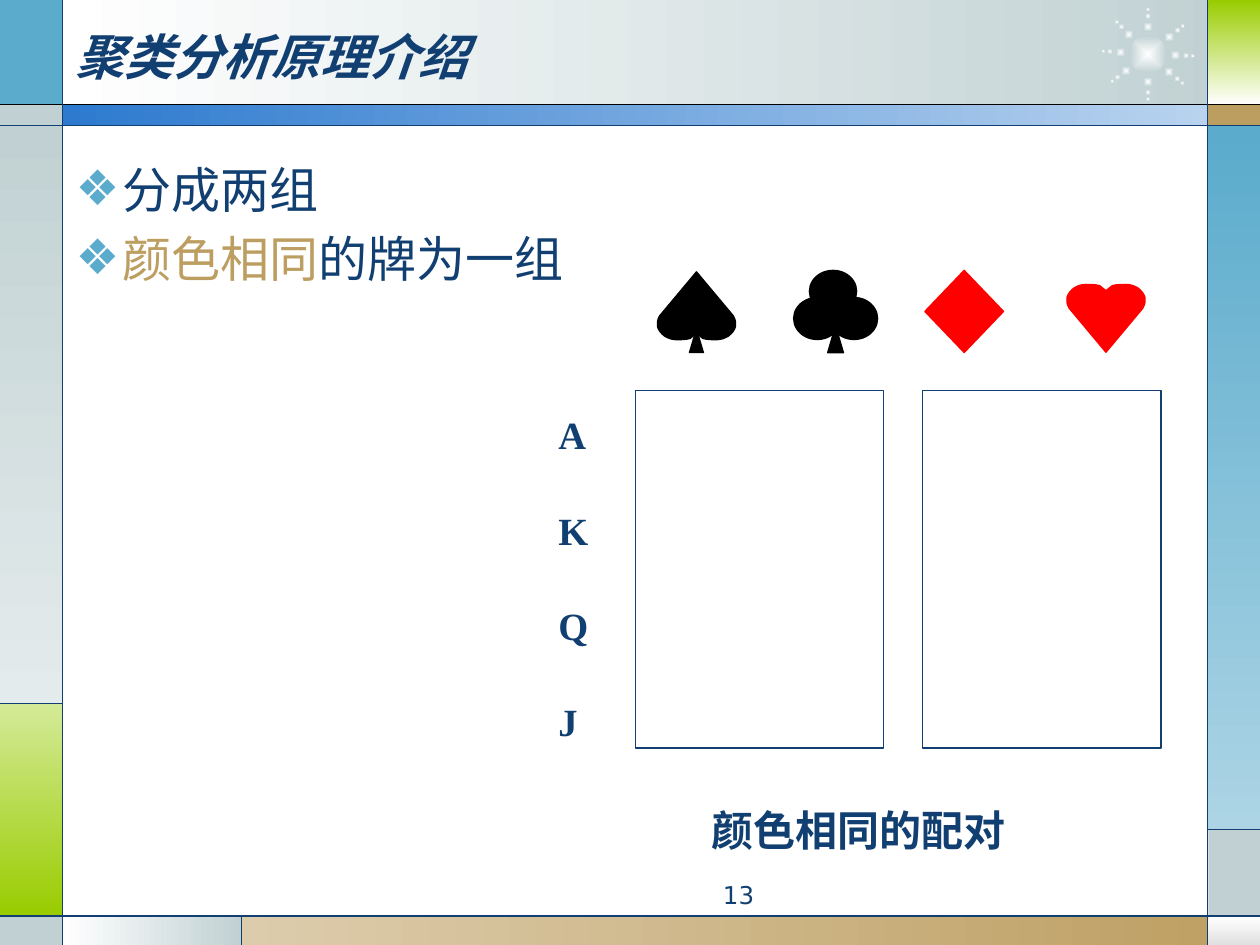
import math
from dataclasses import dataclass

import pptx
import pptx.util
import pptx.dml.color
import pptx.enum.shapes
import pptx.enum.text
import pptx.oxml
import pptx.oxml.ns
from lxml import etree

Pt = pptx.util.Pt
KIND = pptx.enum.shapes.MSO_SHAPE
ALIGN = pptx.enum.text.PP_ALIGN
ANCHOR = pptx.enum.text.MSO_ANCHOR
FIT = pptx.enum.text.MSO_AUTO_SIZE
qn = pptx.oxml.ns.qn


@dataclass(frozen=True)
class Theme:
    navy: str = "113F71"
    sky: str = "5AABCC"
    pale: str = "C1D1D3"
    mist: str = "E4EBEC"
    tan: str = "BD9E61"
    sand: str = "DDCCAC"
    lime: str = "99CC00"
    leaf: str = "D4EA98"
    blue: str = "2D7ACF"
    haze: str = "B9D3EF"
    ice: str = "ACD4E5"
    fog: str = "E0E0E0"
    white: str = "FFFFFF"
    black: str = "000000"
    red: str = "FF0000"
    sans: str = "DejaVu Sans"
    serif: str = "Times New Roman"
    plain: str = "Arial"
    head: int = 28
    label: int = 22
    note: int = 24
    page: int = 14
    rule: float = 0.75


T = Theme()

# Frame panels: left, top, right, bottom, first colour, last colour, angle
PANELS = [
    (36, 0, 703.5, 60, T.white, T.pale, 0),
    (0, 0, 36, 60, T.sky, None, 0),
    (0, 60, 36, 72, T.pale, None, 0),
    (0, 72, 36, 402, T.pale, T.mist, 270),
    (0, 402, 36, 523.5, T.leaf, T.lime, 270),
    (0, 523.5, 36, 540, T.pale, None, 0),
    (36, 523.5, 138, 540, T.white, T.pale, 0),
    (138, 523.5, 720, 540, T.sand, T.tan, 0),
    (690.5, 523.5, 720, 540, T.white, T.fog, 270),
    (690.5, 474, 720, 523.5, T.pale, None, 0),
    (690, 72, 720, 474, T.sky, T.ice, 270),
    (690, 60, 720, 72, T.tan, None, 0),
    (690.5, 0, 720, 60, T.lime, T.white, 270),
    (36, 60, 690.5, 72, T.blue, T.haze, 0),
]
RULES = [
    (0, 59.8, 720, 59.8, T.black),
    (0, 71.8, 720, 71.8, T.navy),
    (0, 523.4, 720, 523.4, T.navy),
    (35.9, 0, 35.9, 540, T.navy),
    (690, 0, 690, 540, T.navy),
    (36, 402, 0, 402, T.navy),
    (138, 523.5, 138, 540, T.navy),
    (690, 474, 720, 474, T.navy),
]
RAYS = (2, 40, 90, 143, 184, 226, 270, 321)
# Right half of a heart from notch to shoulder, as chained Bezier points
LOBE = [
    (0, 3.6), (0.7, 2.9), (2.9, 1.4), (3.6, 0.7),
    (6.5, 0), (8.6, 0), (11.5, 0),
    (13.7, 0), (16, 0.7), (18.2, 2),
    (20.2, 3.5), (21.8, 5.5), (22.3, 7.5),
    (22.6, 9.5), (22.3, 11.5), (21, 13.7),
]
TIP = (0, 38.8)


def tint(code):
    return pptx.dml.color.RGBColor.from_string(code)


def paint(shape, fill, edge=None):
    shape.shadow.inherit = False
    shape.fill.solid()
    shape.fill.fore_color.rgb = tint(fill)
    if edge:
        shape.line.color.rgb = tint(edge)
        shape.line.width = Pt(T.rule)
    else:
        shape.line.fill.background()


def blend(shape, first, last, angle=0):
    shape.fill.gradient()
    shape.fill.gradient_angle = angle
    for stop, code in zip(shape.fill.gradient_stops, (first, last)):
        stop.color.rgb = tint(code)


def block(slide, kind, box, fill, edge=None):
    shape = slide.shapes.add_shape(kind, *map(Pt, box))
    paint(shape, fill, edge)
    return shape


def rule(slide, x1, y1, x2, y2, color):
    kind = pptx.enum.shapes.MSO_CONNECTOR.STRAIGHT
    line = slide.shapes.add_connector(kind, *map(Pt, (x1, y1, x2, y2)))
    line.line.color.rgb = tint(color)
    line.line.width = Pt(T.rule)
    etree.SubElement(line._element.spPr, qn("a:effectLst"))


def glow(slide, x, y, size):
    """Add a disc, centred on x and y, that fades outward from white."""
    disc = block(slide, KIND.OVAL, (x - size / 2, y - size / 2, size, size), T.white)
    blend(disc, T.white, T.pale)
    grad = disc._element.spPr.find(qn("a:gradFill"))
    grad.remove(grad.find(qn("a:lin")))
    fade = etree.SubElement(grad, qn("a:path"), {"path": "shape"})
    etree.SubElement(fade, qn("a:fillToRect"), dict.fromkeys("ltrb", "50000"))


def star(slide, x, y):
    glow(slide, x, y, 21.6)
    for ray in RAYS:
        turn = math.radians(ray)
        for reach, size in ((15.7, 5.4), (21.8, 3.4), (25.6, 2.5)):
            glow(slide, x + reach * math.cos(turn), y + reach * math.sin(turn), size)


def bend(shape, starts):
    """Turn three line steps into one Bezier curve at each start."""
    steps = list(shape._element.iter(qn("a:lnTo")))
    for start in starts:
        trio = steps[start:start + 3]
        arc = etree.Element(qn("a:cubicBezTo"))
        trio[0].addprevious(arc)
        for step in trio:
            arc.append(step[0])
            step.getparent().remove(step)


def heart(slide, x, y, color, way=1):
    """Add a heart whose lobes touch y; way -1 turns it tip up."""
    path = LOBE + [TIP] + [(-a, b) for a, b in reversed(LOBE)]
    dots = [((x + a) * 100, (y + way * b) * 100) for a, b in path]
    pen = slide.shapes.build_freeform(*dots[0], scale=Pt(1) / 100)
    pen.add_line_segments(dots[1:], close=True)
    shape = pen.convert_to_shape()
    side = len(LOBE) - 1
    bend(shape, [*range(0, side, 3), *range(side + 2, 2 * side + 2, 3)])
    paint(shape, color, color)


def suits(slide):
    heart(slide, 398, 194.1, T.black, -1)
    for kind, box, color in (
        (KIND.FLOWCHART_EXTRACT, (394, 188, 8, 13.5), T.black),
        (KIND.OVAL, (462.5, 154.5, 27, 24), T.black),
        (KIND.OVAL, (474.5, 170, 27, 24), T.black),
        (KIND.OVAL, (453.5, 170, 27, 24), T.black),
        (KIND.FLOWCHART_EXTRACT, (473, 186, 9, 15.5), T.black),
        (KIND.FLOWCHART_DECISION, (528.5, 154.5, 45, 47), T.red),
    ):
        block(slide, kind, box, color, color)
    heart(slide, 632, 162.5, T.red)


def write(para, text, size, face=T.sans, color=T.navy, **look):
    run = para.add_run()
    run.text = text
    run.font.color.rgb = tint(color)
    for key, value in {"size": Pt(size), "name": face, **look}.items():
        setattr(run.font, key, value)


def label(slide, box, text, size, face, para, **look):
    """Add a one-line text box; para holds its paragraph format."""
    frame = slide.shapes.add_textbox(*map(Pt, box)).text_frame
    frame.word_wrap = True
    for key, value in para.items():
        setattr(frame.paragraphs[0], key, value)
    write(frame.paragraphs[0], text, size, face, **look)


def place(slide, holder, box, anchor):
    """Move a placeholder to its box, in front of the frame."""
    for key, value in zip(("left", "top", "width", "height"), box):
        setattr(holder, key, Pt(value))
    slide.shapes._spTree.append(holder._element)
    frame = holder.text_frame
    frame.auto_size = FIT.NONE
    frame.vertical_anchor = anchor
    return frame


def bullet(para):
    props = para._p.get_or_add_pPr()
    props.set("marL", str(Pt(27)))
    props.set("indent", str(Pt(-27)))
    color = etree.SubElement(props, qn("a:buClr"))
    etree.SubElement(color, qn("a:srgbClr"), val=T.sky)
    etree.SubElement(props, qn("a:buChar"), char="❖")


def words(slide):
    title = place(slide, slide.shapes.title, (36, 6, 648, 52), ANCHOR.MIDDLE)
    title.paragraphs[0].alignment = ALIGN.LEFT
    write(title.paragraphs[0], "聚类分析原理介绍", T.head, bold=True, italic=True)

    body = place(slide, slide.placeholders[1], (36, 87.6, 318, 356), ANCHOR.TOP)
    items = [[("分成两组", T.navy)], [("颜色相同", T.tan), ("的牌为一组", T.navy)]]
    for i, item in enumerate(items):
        para = body.add_paragraph() if i else body.paragraphs[0]
        bullet(para)
        para.space_before = Pt(5.6 if i else 0)
        for text, color in item:
            write(para, text, T.head, color=color)


def main():
    deck = pptx.Presentation()
    deck.slide_width, deck.slide_height = Pt(720), Pt(540)
    slide = deck.slides.add_slide(deck.slide_layouts[1])
    for left, top, right, bottom, first, last, angle in PANELS:
        box = (left, top, right - left, bottom - top)
        panel = block(slide, KIND.RECTANGLE, box, first)
        if last:
            blend(panel, first, last, angle)
    star(slide, 656, 31)
    for ends in RULES:
        rule(slide, *ends)
    words(slide)
    suits(slide)
    for i, rank in enumerate("AKQJ"):
        label(slide, (312, 201 + 54.5 * i, 54, 39), rank, T.label, T.serif,
              {"alignment": ALIGN.JUSTIFY, "line_spacing": 2.16}, bold=True)
    for left, width in ((363, 142), (527, 136.5)):
        block(slide, KIND.RECTANGLE, (left, 223, width, 204.5), T.white, T.navy)
    label(slide, (282, 456, 417, 36), "颜色相同的配对", T.note, T.plain,
          {"alignment": ALIGN.CENTER}, bold=True)
    label(slide, (270, 499.5, 168, 19.5), "13", T.page, T.sans,
          {"alignment": ALIGN.RIGHT})
    deck.save("out.pptx")


if __name__ == "__main__":
    main()
